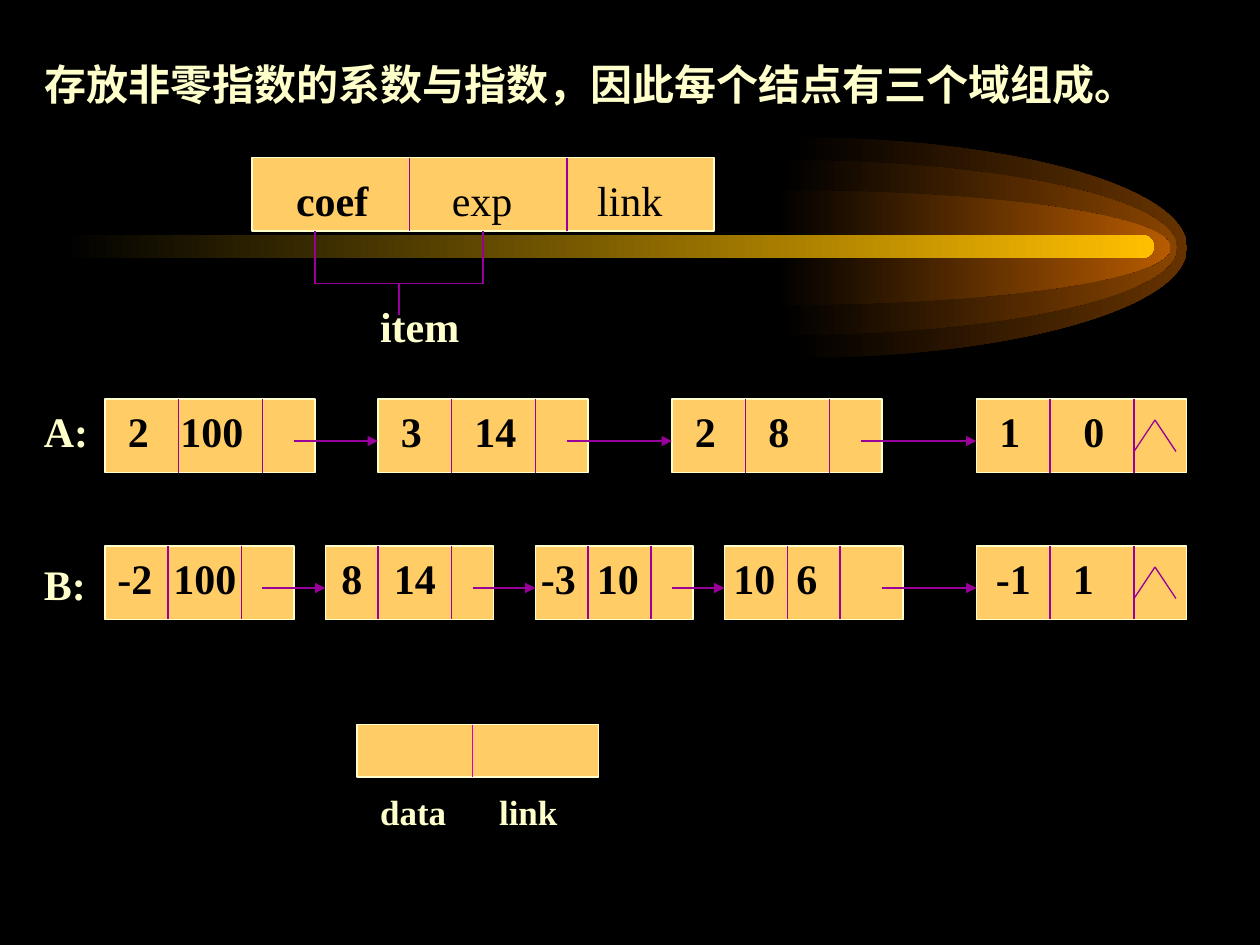
from lxml import etree
from pptx import Presentation
from pptx.dml.color import RGBColor
from pptx.enum.shapes import MSO_CONNECTOR, MSO_SHAPE
from pptx.enum.text import MSO_ANCHOR, PP_ALIGN
from pptx.oxml.ns import qn
from pptx.util import Pt

STRAIGHT = MSO_CONNECTOR.STRAIGHT
RECTANGLE, ROUNDED = MSO_SHAPE.RECTANGLE, MSO_SHAPE.ROUNDED_RECTANGLE
TOP, MIDDLE, LEFT = MSO_ANCHOR.TOP, MSO_ANCHOR.MIDDLE, PP_ALIGN.LEFT
FONT = "Times New Roman"
BLACK, CREAM, ORANGE, PURPLE, MAGENTA = "000000", "FFFFCC", "FFCC66", "990099", "CC00CC"
rgb = RGBColor.from_string

deck = Presentation()
deck.slide_width, deck.slide_height = Pt(720), Pt(540)
page = deck.slides.add_slide(deck.slide_layouts[5])
page.background.fill.solid()
page.background.fill.fore_color.rgb = rgb(BLACK)
shapes = page.shapes


def add_line(x1, y1, x2, y2, color=PURPLE, width=0.75, arrow=False):
    line = shapes.add_connector(STRAIGHT, Pt(x1), Pt(y1), Pt(x2), Pt(y2))
    line.line.color.rgb = rgb(color)
    line.line.width = Pt(width)
    if arrow:
        etree.SubElement(line.line._get_or_add_ln(), qn("a:tailEnd"), type="triangle")
    etree.SubElement(line._element.spPr, qn("a:effectLst"))


def add_text(left, top, width, height, text, color, size=24, indent=0, tabs=()):
    """Add bold text whose columns start at tab stops measured from the first one."""
    box = shapes.add_textbox(Pt(left), Pt(top), Pt(width), Pt(height))
    frame = box.text_frame
    frame.word_wrap = True
    frame.vertical_anchor = TOP
    frame.margin_left = Pt(7.2 + indent)
    frame.text = text
    for para in frame.paragraphs:
        if tabs:
            tab_list = etree.SubElement(para._p.get_or_add_pPr(), qn("a:tabLst"))
            for stop in tabs:
                etree.SubElement(tab_list, qn("a:tab"), pos=str(Pt(stop)), algn="l")
        for run in para.runs:
            run.font.name, run.font.size, run.font.bold = FONT, Pt(size), True
            run.font.color.rgb = rgb(color)
    return frame


# Comet behind the diagram: nested half ellipses and a bar
COMET_MIDDLE, COMET_RADIUS, CURVE = 141.5, 225.4, 0.5523
comet = []
for left, half_height, color in [(452.9, 63, "663300"), (447.1, 50, "894400"),
                                 (443.5, 32.8, "B75B00")]:
    # Unit half ellipse: two curves of three points each, then its centre
    unit_points = [(0, -1), (CURVE, -1), (1, -CURVE), (1, 0),
                   (1, CURVE), (CURVE, 1), (0, 1), (0, 0)]
    points = [(Pt(left + COMET_RADIUS * x), Pt(COMET_MIDDLE + half_height * y))
              for x, y in unit_points]
    builder = shapes.build_freeform(*points[0])
    builder.add_line_segments(points[1:], close=True)
    half_ellipse = builder.convert_to_shape()
    segments = list(half_ellipse._element.iter(qn("a:lnTo")))
    for group in (segments[:3], segments[3:6]):
        curve = etree.Element(qn("a:cubicBezTo"))
        group[0].addprevious(curve)
        for segment in group:
            curve.append(segment[0])
            segment.getparent().remove(segment)
    comet.append((half_ellipse, color))
bar = shapes.add_shape(ROUNDED, Pt(36), Pt(134.4), Pt(623.5), Pt(13))
bar.adjustments[0] = 0.5
comet.append((bar, "FFBF00"))
for part, color in comet:
    part.shadow.inherit = False
    part.line.fill.background()
    part.fill.gradient()
    part.fill.gradient_angle = 0
    for stop, stop_color in zip(part.fill.gradient_stops, (BLACK, color)):
        stop.color.rgb = rgb(stop_color)

title = shapes.title
title.left, title.top, title.width, title.height = Pt(18), Pt(30), Pt(684), Pt(36)
title.text_frame.text = "存放非零指数的系数与指数，因此每个结点有三个域组成。"
title.text_frame.vertical_anchor = MIDDLE
title.text_frame.word_wrap = True
para = title.text_frame.paragraphs[0]
para.alignment = LEFT
para.font.name, para.font.size, para.font.bold = FONT, Pt(24), True
para.font.color.rgb = rgb(CREAM)
shapes._spTree.append(title._element)  # in front of the comet

# Nodes: left, width, divider positions
ROW_A, ROW_B = 228, 312
nodes_a = [(60, 120, (102, 150)), (216, 120, (258, 306)),
           (384, 120, (426, 474)), (558, 120, (600, 648))]
nodes_b = [(60, 108, (96, 138)), (186, 96, (216, 258)), (306, 90, (336, 372)),
           (414, 102, (450, 480)), (558, 120, (600, 648))]
node_rows = [
    (90, 42, PURPLE, 0.75, [(144, 264, (234, 324))]),
    (ROW_A, 42, PURPLE, 0.75, nodes_a),
    (ROW_B, 42, PURPLE, 0.75, nodes_b),
    (414, 30, MAGENTA, 1, [(204, 138, (270,))]),
]
for top, height, color, line_width, nodes in node_rows:
    for left, width, dividers in nodes:
        node = shapes.add_shape(RECTANGLE, Pt(left), Pt(top), Pt(width), Pt(height))
        node.shadow.inherit = False
        node.fill.solid()
        node.fill.fore_color.rgb = rgb(ORANGE)
        node.line.color.rgb = rgb(CREAM)
        node.line.width = Pt(0.75)
        for x in dividers:
            add_line(x, top, x, top + height, color, line_width)

# Link arrows, each ending at the next node, and the null mark of the last node
for top, nodes, starts in [(ROW_A, nodes_a, (168, 324, 492)),
                           (ROW_B, nodes_b, (150, 270, 384, 504))]:
    for start, next_node in zip(starts, nodes[1:]):
        add_line(start, top + 24, next_node[0], top + 24, arrow=True)
    for foot in (648, 672):
        add_line(660, top + 12, foot, top + 30)

# Bracket joining coef and exp into item
for x in (180, 276):
    add_line(x, 132, x, 162)
add_line(276, 162, 180, 162)
add_line(228, 162, 228, 180)

fields = add_text(144, 96, 264, 65, "coef", BLACK, indent=18, tabs=(89, 172))
run = fields.paragraphs[0].add_run()
run.text = "\texp\tlink"
run.font.name, run.font.size, run.font.bold = FONT, Pt(24), False
run.font.color.rgb = rgb(BLACK)
add_text(198, 168, 84, 36, "item", CREAM, indent=12)
row_names = add_text(18, ROW_A, 54, 124, "A:\nB:", CREAM)
row_names.paragraphs[1].space_before = Pt(59)
add_text(66, ROW_A, 594, 36, "2\t100\t3\t14\t2\t8\t1\t0", BLACK,
         tabs=(30, 156, 198, 324, 366, 498, 546))
add_text(60, ROW_B, 594, 36, "-2\t100\t8\t14\t-3\t10\t10\t6\t-1\t1", BLACK,
         tabs=(32, 128, 158, 242, 274, 352, 388, 502, 546))
add_text(204, 448, 138, 36, "data\tlink", CREAM, size=20, indent=6, tabs=(68,))

deck.save("out.pptx")
